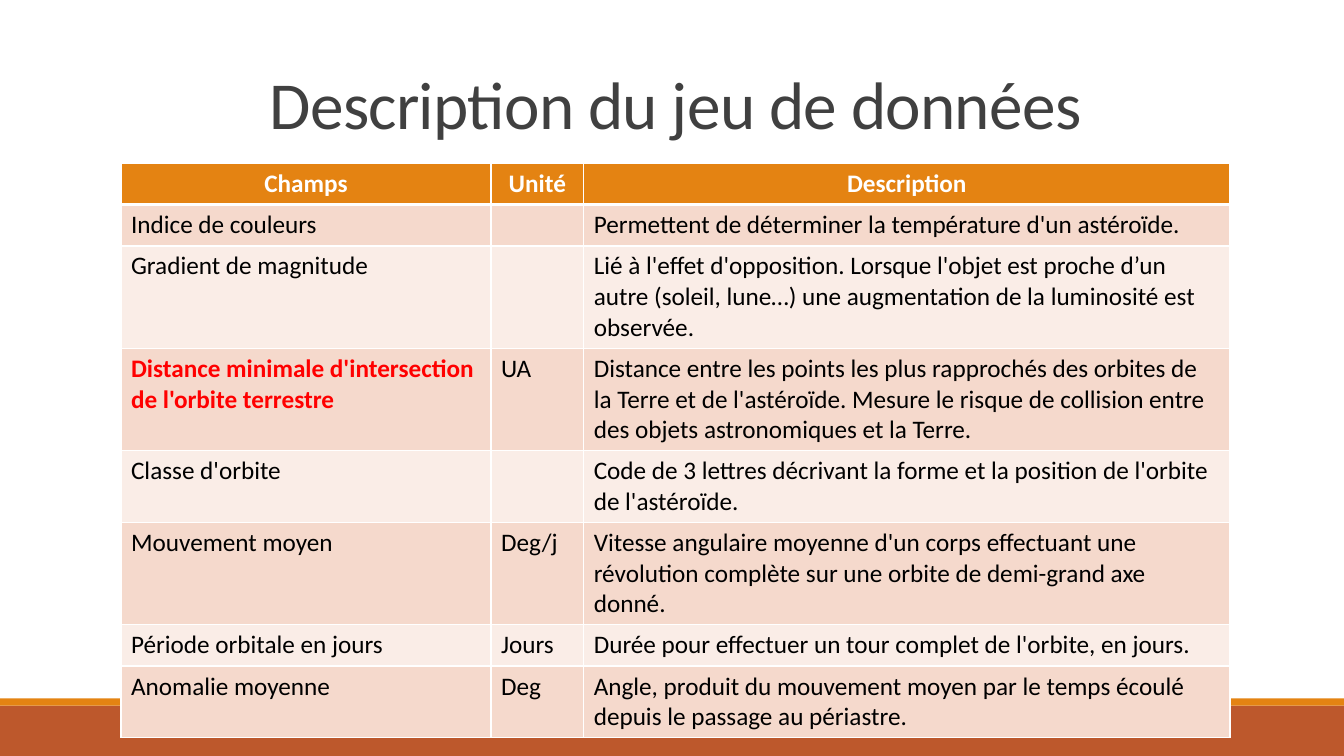
from lxml import etree
from pptx import Presentation
from pptx.dml.color import RGBColor
from pptx.enum.shapes import MSO_SHAPE
from pptx.enum.text import MSO_ANCHOR, MSO_AUTO_SIZE, PP_ALIGN
from pptx.oxml.ns import qn
from pptx.util import Inches, Pt

RECT = MSO_SHAPE.RECTANGLE
BOTTOM = MSO_ANCHOR.BOTTOM
NO_FIT = MSO_AUTO_SIZE.NONE
LEFT, CENTER = PP_ALIGN.LEFT, PP_ALIGN.CENTER

COLORS = {
    "white": "FFFFFF",
    "black": "000000",
    "gray": "404040",
    "red": "FF0000",
    "orange": "E48312",
    "rust": "BD582C",
    "peach": "F5D9CC",
    "cream": "FAEDE7",
}
WIDTHS = [3.67, 0.92, 6.41]
HEIGHT = 0.41
HEADER = ("Champs", "Unité", "Description")
FIELDS = [
    ("Indice de couleurs", "",
     "Permettent de déterminer la température d'un astéroïde."),
    ("Gradient de magnitude", "",
     "Lié à l'effet d'opposition. Lorsque l'objet est proche d’un autre "
     "(soleil, lune…) une augmentation de la luminosité est observée."),
    ("Distance minimale d'intersection de l'orbite terrestre", "UA",
     "Distance entre les points les plus rapprochés des orbites de la Terre "
     "et de l'astéroïde. Mesure le risque de collision entre des objets "
     "astronomiques et la Terre."),
    ("Classe d'orbite", "",
     "Code de 3 lettres décrivant la forme et la position de l'orbite "
     "de l'astéroïde."),
    ("Mouvement moyen", "Deg/j",
     "Vitesse angulaire moyenne d'un corps effectuant une révolution "
     "complète sur une orbite de demi-grand axe donné."),
    ("Période orbitale en jours", "Jours",
     "Durée pour effectuer un tour complet de l'orbite, en jours."),
    ("Anomalie moyenne", "Deg",
     "Angle, produit du mouvement moyen par le temps écoulé depuis le "
     "passage au périastre."),
]
KEY_FIELD = "Distance minimale d'intersection de l'orbite terrestre"


def rgb(name):
    """Return the named colour."""
    return RGBColor.from_string(COLORS[name])


def put_text(frame, text, size=18, color="black", bold=False, align=LEFT,
             lead=None, track=None):
    """Write one formatted paragraph into a text frame."""
    para = frame.paragraphs[0]
    para.alignment = align
    para.line_spacing = lead
    para.font.size = Pt(size)
    if not text:
        return
    run = para.add_run()
    run.text = text
    font = run.font
    font.name = "Calibri"
    font.size = Pt(size)
    font.bold = bold
    font.color.rgb = rgb(color)
    if track is not None:
        run._r.get_or_add_rPr().set("spc", str(int(track * 100)))


def add_band(slide, top, height, color):
    """Draw a full-width band."""
    band = slide.shapes.add_shape(
        RECT, 0, Inches(top), Inches(13.33), Inches(height))
    band.shadow.inherit = False
    band.fill.solid()
    band.fill.fore_color.rgb = rgb(color)
    band.line.fill.background()


def set_edges(cell, top, bottom):
    """Give a cell white borders, with top and bottom widths in points."""
    props = cell._tc.get_or_add_tcPr()
    for side, width in (("L", 1), ("R", 1), ("T", top), ("B", bottom)):
        line = etree.SubElement(props, qn(f"a:ln{side}"), w=str(Pt(width)))
        fill = etree.SubElement(line, qn("a:solidFill"))
        etree.SubElement(fill, qn("a:srgbClr"), val=COLORS["white"])


def set_title(slide, text):
    """Place and format the slide title."""
    title = slide.shapes.title
    title.left, title.top = Inches(1.2), Inches(0.31)
    title.width, title.height = Inches(11), Inches(1.16)
    frame = title.text_frame
    frame.word_wrap = True
    frame.auto_size = NO_FIT
    frame.vertical_anchor = BOTTOM
    put_text(frame, text, size=48, color="gray", align=CENTER,
             lead=0.85, track=-0.5)


def fill_cell(cell, text, row):
    """Format one cell by its row."""
    head = row == 0
    key = text == KEY_FIELD
    set_edges(cell, top=3 if row == 1 else 1, bottom=3 if head else 1)
    shade = "orange" if head else "peach" if row % 2 else "cream"
    cell.fill.solid()
    cell.fill.fore_color.rgb = rgb(shade)
    put_text(cell.text_frame, text, bold=head or key,
             color="white" if head else "red" if key else "black",
             align=CENTER if head else LEFT)


def add_grid(slide):
    """Add the table of fields."""
    rows = [HEADER, *FIELDS]
    table = slide.shapes.add_table(
        len(rows), len(WIDTHS), Inches(1.2), Inches(1.62),
        Inches(sum(WIDTHS)), Inches(HEIGHT * len(rows))).table
    for col, width in zip(table.columns, WIDTHS):
        col.width = Inches(width)
    for i, texts in enumerate(rows):
        table.rows[i].height = Inches(HEIGHT)
        for j, text in enumerate(texts):
            fill_cell(table.cell(i, j), text, i)


def main():
    """Build and save the slide."""
    deck = Presentation()
    deck.slide_width, deck.slide_height = Inches(13.33), Inches(7.5)
    slide = deck.slides.add_slide(deck.slide_layouts[5])
    add_band(slide, 7, 0.5, "rust")
    add_band(slide, 6.93, 0.07, "orange")
    set_title(slide, "Description du jeu de données")
    add_grid(slide)
    deck.save("out.pptx")


if __name__ == "__main__":
    main()
